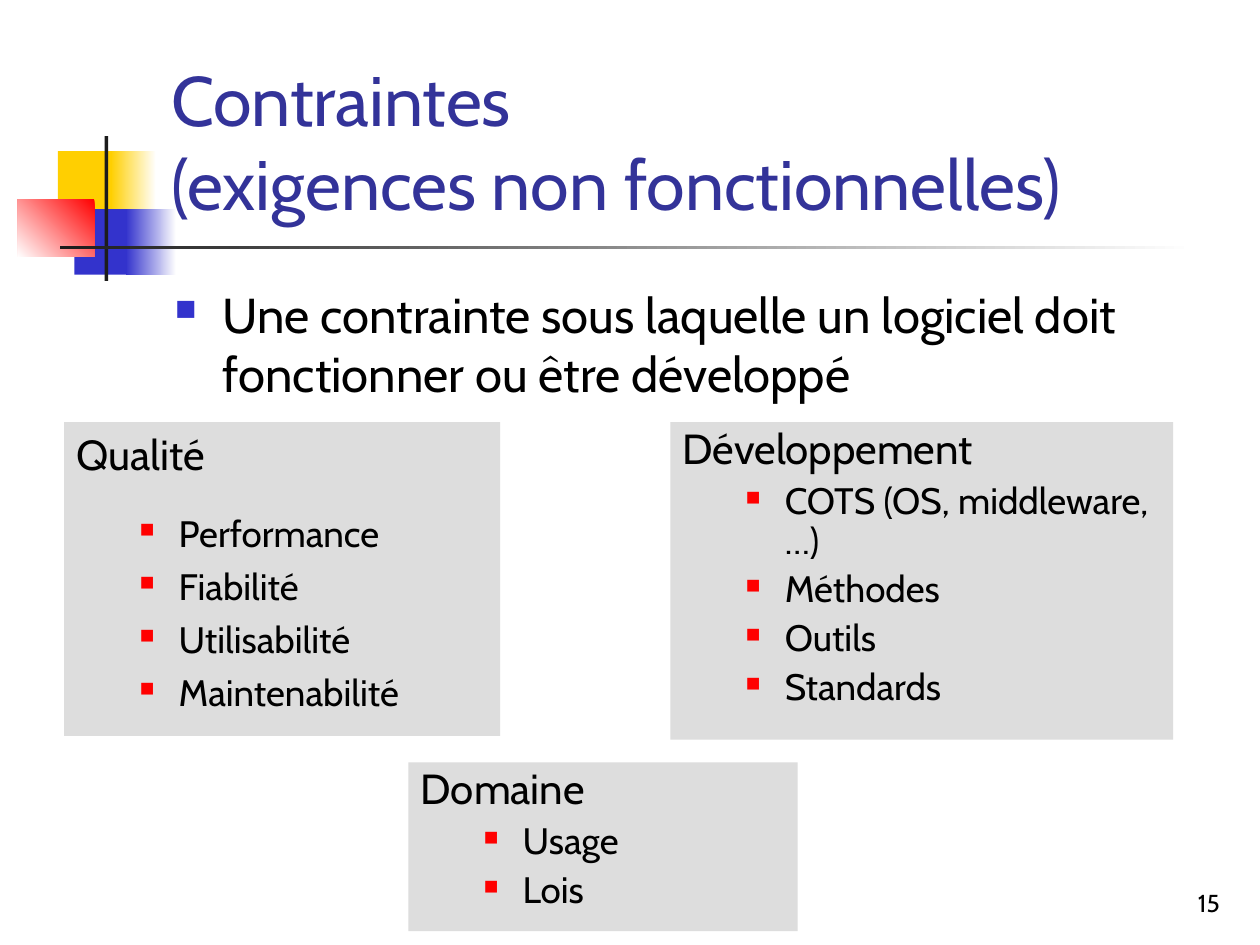
import lxml.etree
import pptx
import pptx.dml.color
import pptx.enum.shapes
import pptx.enum.text
import pptx.oxml.ns
import pptx.util

PX = 9144
FONT = "Cabin"
BLACK, WHITE, GREY, DARK = "000000", "FFFFFF", "DDDDDD", "1C1C1C"
YELLOW, BLUE, RED, NAVY = "FFCF01", "3333CC", "FF0000", "333399"
TOP = pptx.enum.text.MSO_ANCHOR.TOP
BOTTOM = pptx.enum.text.MSO_ANCHOR.BOTTOM
LEFT = pptx.enum.text.PP_ALIGN.LEFT
RIGHT = pptx.enum.text.PP_ALIGN.RIGHT

# (position), colours, counter-clockwise angle
DECORATIONS = [
    ((46, 120, 48, 52), [YELLOW], 0),
    ((88, 120, 36, 52), [WHITE, YELLOW], 180),
    ((59, 166, 46, 52), [BLUE], 0),
    ((100, 166, 40, 52), [WHITE, BLUE], 180),
    ((14, 158, 61, 46), [RED, WHITE], 225),
    ((83, 108, 3, 115), [DARK], 0),
    ((48, 195, 900, 3), [WHITE, DARK], 180),
]
TITLE = "Contraintes\v(exigences non fonctionnelles)"
DEFINITION = "Une contrainte sous laquelle un logiciel doit fonctionner ou être développé"
PAGE_NUMBER = "15"
CATEGORIES = [
    {"position": (51, 335, 346, 249), "heading": "Qualité", "spacing": 1, "gap": 18.2,
     "items": ["Performance", "Fiabilité", "Utilisabilité", "Maintenabilité"]},
    {"position": (532, 335, 399, 252), "heading": "Développement", "spacing": 0.9, "gap": 5.2,
     "items": ["COTS (OS, middleware, …)", "Méthodes", "Outils", "Standards"]},
    {"position": (324, 605, 309, 134), "heading": "Domaine", "spacing": 0.9, "gap": 5.2,
     "items": ["Usage", "Lois"]},
]


def rgb(value):
    """Return the colour for a hex string."""
    return pptx.dml.color.RGBColor.from_string(value)


def add_rectangle(slide, position, colours, angle=0):
    """Add a borderless rectangle with a solid or two-stop gradient fill."""
    shape = slide.shapes.add_shape(
        pptx.enum.shapes.MSO_SHAPE.RECTANGLE, *(value * PX for value in position))
    shape.shadow.inherit = False
    shape.line.fill.background()
    if len(colours) == 1:
        shape.fill.solid()
        shape.fill.fore_color.rgb = rgb(colours[0])
    else:
        shape.fill.gradient()
        shape.fill.gradient_angle = angle
        for stop, colour in zip(shape.fill.gradient_stops, colours):
            stop.color.rgb = rgb(colour)
    return shape


def add_text(slide, position, text, size, colour=BLACK, anchor=TOP, alignment=LEFT):
    """Add a wrapped text box and return its paragraph."""
    frame = slide.shapes.add_textbox(*(value * PX for value in position)).text_frame
    frame.word_wrap = True
    frame.vertical_anchor = anchor
    frame.text = text
    format_paragraph(frame.paragraphs[0], size, colour, alignment)
    return frame.paragraphs[0]


def format_paragraph(paragraph, size, colour=BLACK, alignment=LEFT):
    """Set the alignment and the font of every run."""
    paragraph.alignment = alignment
    for run in paragraph.runs:
        run.font.name = FONT
        run.font.size = pptx.util.Pt(size)
        run.font.color.rgb = rgb(colour)


def add_bullet(paragraph, colour, percent, margin, hanging):
    """Give a paragraph a coloured square bullet and a hanging indent."""
    qn = pptx.oxml.ns.qn
    properties = paragraph._p.get_or_add_pPr()
    properties.set("marL", str(margin * PX))
    properties.set("indent", str(-hanging * PX))
    bullet_colour = lxml.etree.SubElement(properties, qn("a:buClr"))
    lxml.etree.SubElement(bullet_colour, qn("a:srgbClr"), val=colour)
    lxml.etree.SubElement(properties, qn("a:buSzPct"), val=str(percent * 1000))
    lxml.etree.SubElement(properties, qn("a:buChar"), char="■")


def add_category(slide, category):
    """Add a grey box with a heading and bulleted items."""
    frame = add_rectangle(slide, category["position"], [GREY]).text_frame
    frame.word_wrap = True
    frame.vertical_anchor = TOP
    frame.text = category["heading"]
    format_paragraph(frame.paragraphs[0], 24)
    for index, item in enumerate(category["items"]):
        paragraph = frame.add_paragraph()
        paragraph.text = item
        paragraph.level = 1
        add_bullet(paragraph, RED, 55, 81, 31)
        format_paragraph(paragraph, 21)
        paragraph.space_before = pptx.util.Pt(5.2 if index else category["gap"])
    for paragraph in frame.paragraphs:
        paragraph.line_spacing = category["spacing"]


def main():
    """Build the slide and save it."""
    presentation = pptx.Presentation()
    presentation.slide_width = 1000 * PX
    presentation.slide_height = 750 * PX
    slide = presentation.slides.add_slide(presentation.slide_layouts[6])
    for position, colours, angle in DECORATIONS:
        add_rectangle(slide, position, colours, angle)
    add_text(slide, (126, 23, 852, 160), TITLE, 40, NAVY, BOTTOM)
    definition = add_text(slide, (129, 221, 850, 217), DEFINITION, 28)
    add_bullet(definition, BLUE, 60, 38, 38)
    for category in CATEGORIES:
        add_category(slide, category)
    add_text(slide, (770, 683, 208, 50), PAGE_NUMBER, 14, BLACK, BOTTOM, RIGHT)
    presentation.save("out.pptx")


if __name__ == "__main__":
    main()
